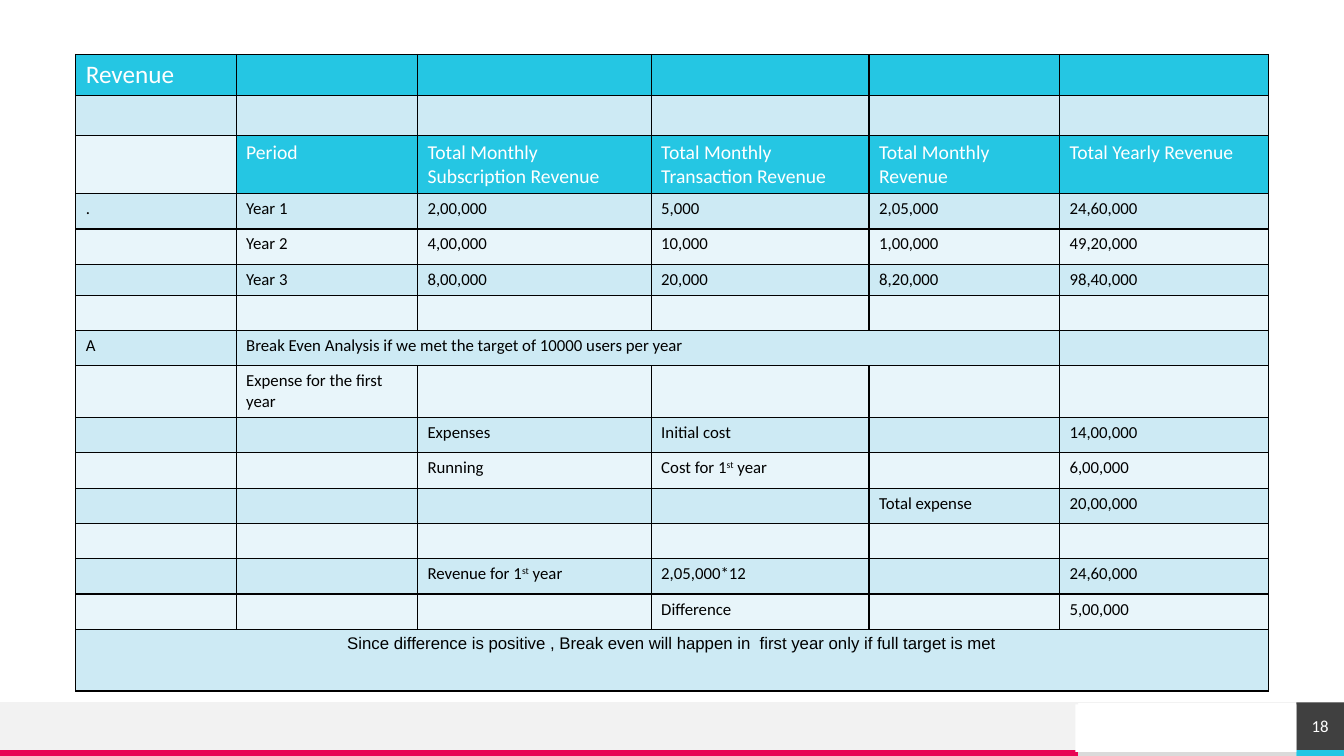
from lxml.etree import SubElement
from pptx import Presentation
from pptx.dml.color import RGBColor
from pptx.enum.shapes import MSO_CONNECTOR as Connector, MSO_SHAPE as Shape
from pptx.enum.text import MSO_ANCHOR as Anchor, PP_ALIGN as Align
from pptx.oxml.ns import qn
from pptx.util import Cm, Pt

CYAN = RGBColor(0x25, 0xC6, 0xE3)
BAND_DARK = RGBColor(0xCD, 0xEA, 0xF4)
BAND_LIGHT = RGBColor(0xE8, 0xF5, 0xFA)
PINK = RGBColor(0xE8, 0x05, 0x54)
PALE_GRAY = RGBColor(0xF2, 0xF2, 0xF2)
MID_GRAY = RGBColor(0xDA, 0xDA, 0xDA)
DARK_GRAY = RGBColor(0x40, 0x40, 0x40)
BLACK = RGBColor(0, 0, 0)
WHITE = RGBColor(0xFF, 0xFF, 0xFF)

SLIDE_W, SLIDE_H = 33.87, 19.05
COL_WIDTHS = [4.04, 4.57, 5.89, 5.49, 4.8, 5.26]
ROW_H = 0.89
SPECIAL_ROW_H = {0: 1.02, 1: 1.02, 2: 1.46, 5: 0.78, 8: 1.3, 15: 1.55}
TITLE_ROW, HEADING_ROW, BREAK_EVEN_ROW, CONCLUSION_ROW = 0, 2, 7, 15

# Text between ^ marks is superscript
ROWS = [
    ["Revenue"],
    [],
    ["", "Period", "Total Monthly Subscription Revenue", "Total Monthly Transaction Revenue",
     "Total Monthly Revenue", "Total Yearly Revenue"],
    [".", "Year 1", "2,00,000", "5,000", "2,05,000", "24,60,000"],
    ["", "Year 2", "4,00,000", "10,000", "1,00,000", "49,20,000"],
    ["", "Year 3", "8,00,000", "20,000", "8,20,000", "98,40,000"],
    [],
    ["A", "Break Even Analysis if we met the target of 10000 users per year"],
    ["", "Expense for the first year"],
    ["", "", "Expenses", "Initial cost", "", "14,00,000"],
    ["", "", "Running", "Cost for 1^st^ year", "", "6,00,000"],
    ["", "", "", "", "Total expense", "20,00,000"],
    [],
    ["", "", "Revenue for 1^st^ year", "2,05,000*12", "", "24,60,000"],
    ["", "", "", "Difference", "", "5,00,000"],
    ["Since difference is positive , Break even will happen in  first year only if full target is met"],
]


def write(tf, text, size=12, color=BLACK, font="Calibri", align=Align.LEFT):
    """Fill the first paragraph of a text frame."""
    p = tf.paragraphs[0]
    p.alignment = align
    if not text:
        SubElement(p._p, qn("a:endParaRPr")).set("sz", str(size * 100))
        return
    for i, part in enumerate(text.split("^")):
        r = p.add_run()
        r.text = part
        r.font.size, r.font.name = Pt(size), font
        r.font.color.rgb = color
        if i % 2:
            r.font._element.set("baseline", "30000")


def add_rect(s, x, y, w, h, color):
    sp = s.shapes.add_shape(Shape.RECTANGLE, Cm(x), Cm(y), Cm(w), Cm(h))
    sp.shadow.inherit = False
    sp.fill.solid()
    sp.fill.fore_color.rgb = color
    sp.line.fill.background()
    return sp


def add_footer(s, x, y, w, h):
    strip_h, number_w, panel_w = 0.15, 1.2, 5.5
    bar_h = h - strip_h
    number_x = x + w - number_w
    panel_x = number_x - panel_w
    # Bar, with a coloured strip along its foot
    add_rect(s, x, y, panel_x - x, bar_h, PALE_GRAY)
    for left, width, color in [(x, panel_x - x, PINK), (panel_x, panel_w, MID_GRAY),
                               (number_x, number_w, CYAN)]:
        add_rect(s, left, y + bar_h, width, strip_h, color)
    # Top rule
    rule = s.shapes.add_connector(Connector.STRAIGHT, Cm(x + w), Cm(y), Cm(x), Cm(y))
    rule.line.color.rgb = PALE_GRAY
    rule.line.width = Pt(0.5)
    SubElement(rule._element.spPr, qn("a:effectLst"))
    # Slide number
    number = add_rect(s, number_x, y, number_w, bar_h, DARK_GRAY)
    tf = number.text_frame
    tf.margin_left = tf.margin_right = tf.margin_top = tf.margin_bottom = 0
    tf.vertical_anchor = Anchor.MIDDLE
    write(tf, "18", color=WHITE, align=Align.CENTER)
    # Plain white panel
    add_rect(s, panel_x - 0.07, y + 0.05, panel_w + 0.07, bar_h, WHITE)


def style_cell(cell, color):
    tcPr = cell._tc.get_or_add_tcPr()
    for side in ("lnL", "lnR", "lnT", "lnB"):
        ln = SubElement(tcPr, qn("a:" + side))
        ln.set("w", str(Pt(1)))
        fill = SubElement(ln, qn("a:solidFill"))
        SubElement(fill, qn("a:srgbClr")).set("val", str(BLACK))
    cell.fill.solid()
    cell.fill.fore_color.rgb = color


def add_revenue_table(s, x, y, w, h):
    frame = s.shapes.add_table(len(ROWS), len(COL_WIDTHS), Cm(x), Cm(y), Cm(w), Cm(h))
    table = frame.table
    table.first_row = table.horz_banding = False
    for col, width in zip(table.columns, COL_WIDTHS):
        col.width = Cm(width)
    for i, row in enumerate(table.rows):
        row.height = Cm(SPECIAL_ROW_H.get(i, ROW_H))
        for j, cell in enumerate(row.cells):
            text = ROWS[i][j] if j < len(ROWS[i]) else ""
            heading = i == TITLE_ROW or (i == HEADING_ROW and j > 0)
            style_cell(cell, CYAN if heading else BAND_DARK if i % 2 else BAND_LIGHT)
            conclusion = i == CONCLUSION_ROW
            write(cell.text_frame, text,
                  size={TITLE_ROW: 18, HEADING_ROW: 14}.get(i, 12),
                  color=WHITE if heading else BLACK,
                  font="Arial" if conclusion else "Calibri",
                  align=Align.CENTER if conclusion else Align.LEFT)
    # Merged cells
    table.cell(BREAK_EVEN_ROW, 1).merge(table.cell(BREAK_EVEN_ROW, 4))
    table.cell(CONCLUSION_ROW, 0).merge(table.cell(CONCLUSION_ROW, 5))


def main():
    prs = Presentation()
    prs.slide_width, prs.slide_height = Cm(SLIDE_W), Cm(SLIDE_H)
    s = prs.slides.add_slide(prs.slide_layouts[6])
    add_footer(s, 0, 17.7, SLIDE_W, SLIDE_H - 17.7)
    add_revenue_table(s, 1.91, 1.37, sum(COL_WIDTHS), 16.03)
    prs.save("out.pptx")


if __name__ == "__main__":
    main()
